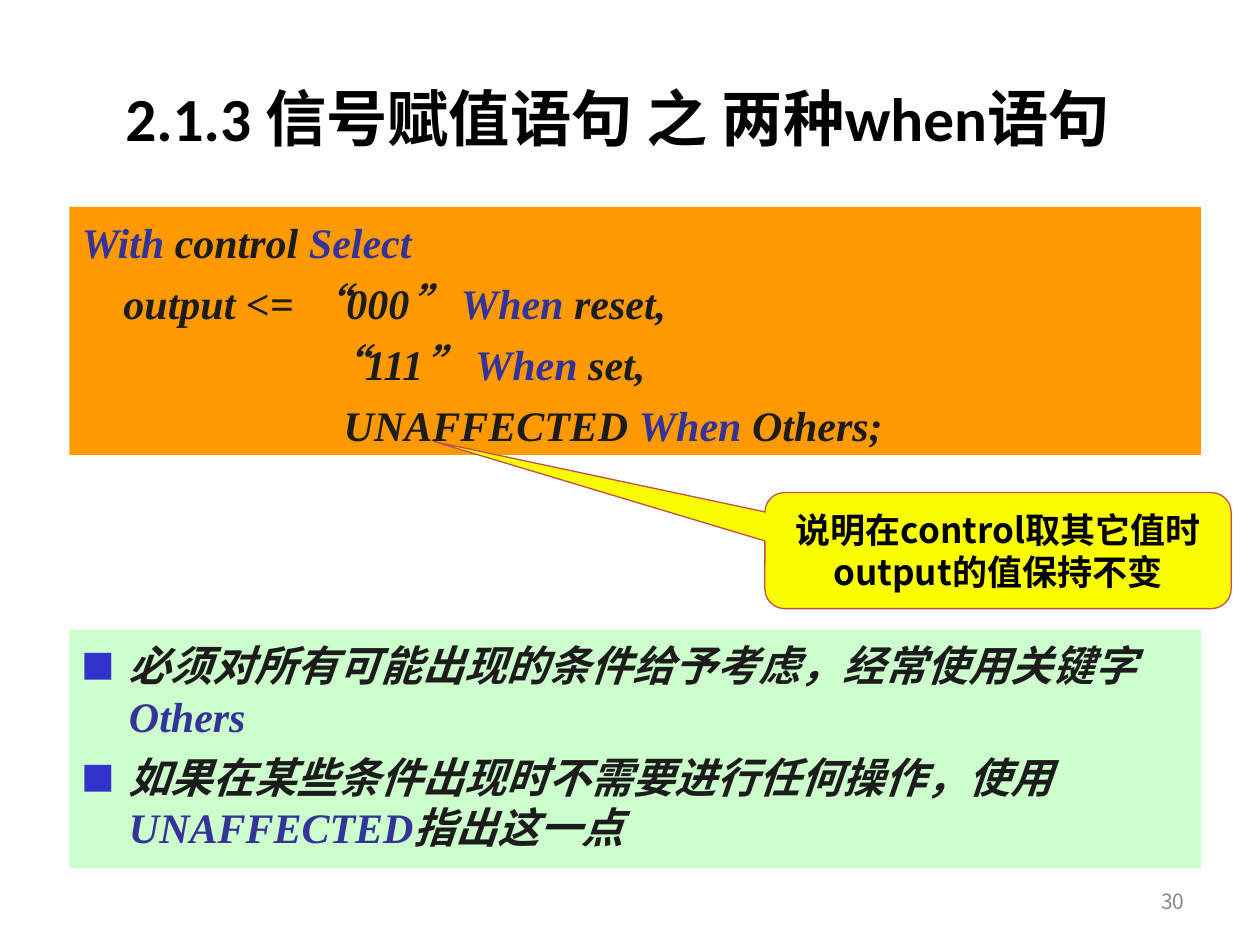
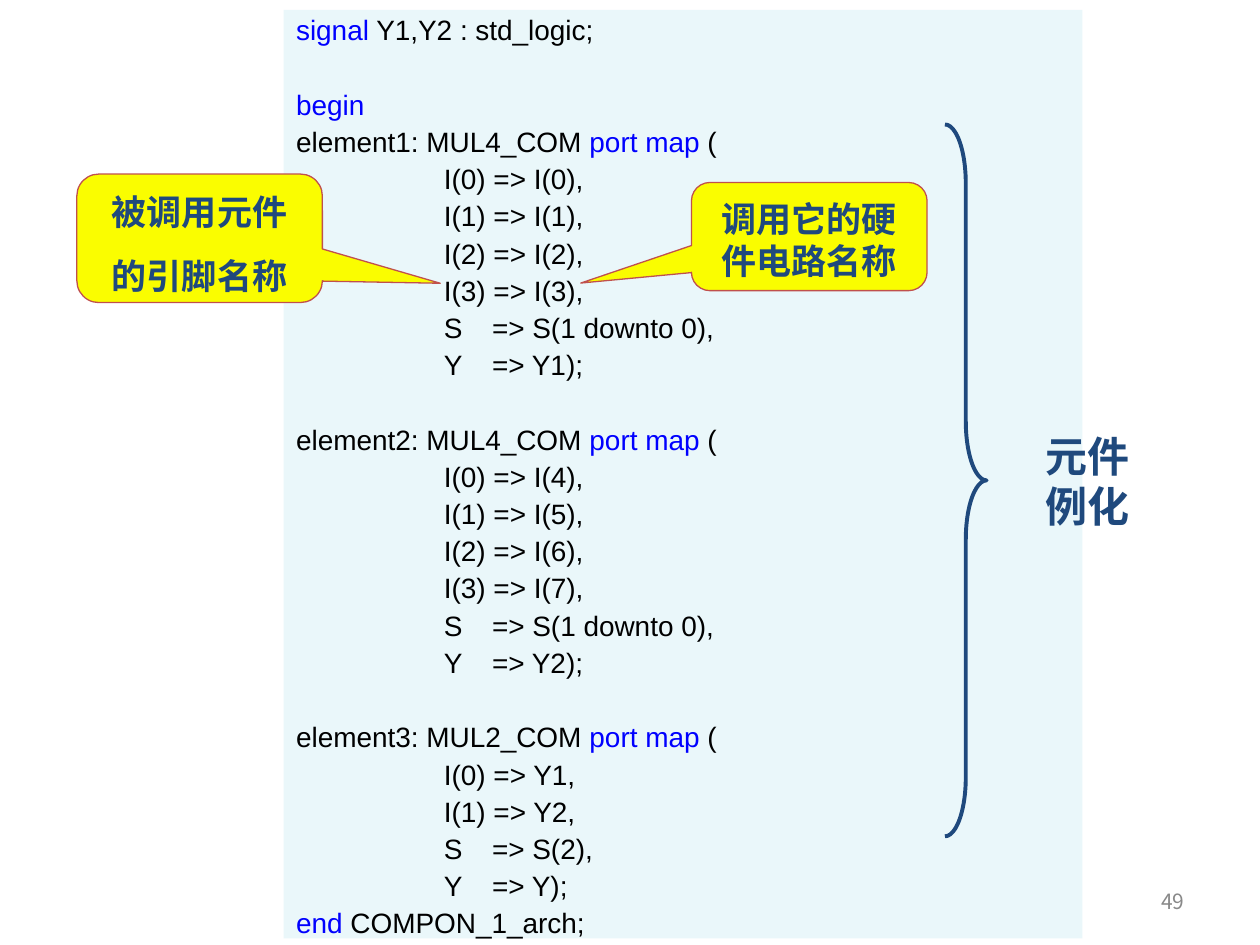
from lxml.etree import SubElement
from pptx import Presentation
from pptx.dml.color import RGBColor
from pptx.enum.shapes import MSO_SHAPE
from pptx.enum.text import MSO_ANCHOR, MSO_AUTO_SIZE, PP_ALIGN
from pptx.oxml.ns import qn
from pptx.util import Cm, Pt

COLOURS = {
    "black": "000000", "ink": "1C1C1C", "keyword": "333399", "bullet": "3333CC",
    "blue": "0000FF", "navy": "1F497D", "grey": "898989", "orange": "FF9900",
    "green": "CCFFCC", "pale": "EAF7FA", "yellow": "FAFD00", "red": "C0504D",
}
CJK = "Noto Sans CJK SC"
SERIF = "Times New Roman"


def write(shape, paras, size, font=CJK, bold=False, italic=False, align=PP_ALIGN.LEFT,
          before=0, pitch=None, tabs=(), bullet=False, anchor=MSO_ANCHOR.TOP, top=0.2):
    """Fill a shape with paragraphs of (text, colour[, font]) runs."""
    frame = shape.text_frame
    frame.word_wrap = True
    frame.auto_size = MSO_AUTO_SIZE.NONE
    frame.vertical_anchor = anchor
    frame.margin_left = frame.margin_right = Cm(0.25)
    frame.margin_top, frame.margin_bottom = Cm(top), Cm(0.13)
    for index, spans in enumerate(paras):
        para = frame.paragraphs[0] if index == 0 else frame.add_paragraph()
        para.alignment = align
        para.space_before = Pt(before)
        if pitch:
            para.line_spacing = Pt(pitch)
        props = para._p.get_or_add_pPr()
        if bullet:
            props.set("marL", str(Cm(0.95)))
            props.set("indent", str(-Cm(0.95)))
            colour = SubElement(props, qn("a:buClr"))
            SubElement(colour, qn("a:srgbClr"), val=COLOURS["bullet"])
            SubElement(props, qn("a:buSzPct"), val="80000")
            SubElement(props, qn("a:buFont"), typeface=CJK)
            SubElement(props, qn("a:buChar"), char="■")
        if tabs:
            stops = SubElement(props, qn("a:tabLst"))
            for stop in tabs:
                SubElement(stops, qn("a:tab"), pos=str(Cm(stop)), algn="l")
        for text, ink, *face in spans:
            span = para.add_run()
            span.text = text
            span.font.size = Pt(size)
            span.font.bold, span.font.italic = bold, italic
            span.font.color.rgb = RGBColor.from_string(COLOURS[ink])
            span.font.name = face[0] if face else font
            SubElement(span._r.get_or_add_rPr(), qn("a:ea"), typeface=CJK)


def add_box(page, kind, place, fill=None, line=None, width=0.75):
    """Add a preset shape without shadow; place is left, top, width, height in cm."""
    box = page.shapes.add_shape(kind, *(Cm(value) for value in place))
    box.shadow.inherit = False
    if fill:
        box.fill.solid()
        box.fill.fore_color.rgb = RGBColor.from_string(COLOURS[fill])
    else:
        box.fill.background()
    if line:
        box.line.color.rgb = RGBColor.from_string(COLOURS[line])
        box.line.width = Pt(width)
    else:
        box.line.fill.background()
    return box


deck = Presentation()
deck.slide_width, deck.slide_height = Cm(25.4), Cm(19.05)
when_page = deck.slides.add_slide(deck.slide_layouts[5])
map_page = deck.slides.add_slide(deck.slide_layouts[6])

# Slide 1: title, code panel and rules
title = when_page.shapes.title
title.left, title.top, title.width, title.height = Cm(0.69), Cm(0.76), Cm(23.52), Cm(3.18)
write(title, [[("2.1.3 信号赋值语句 之 两种when语句", "black")]], 35, "Calibri", bold=True,
      align=PP_ALIGN.CENTER, anchor=MSO_ANCHOR.MIDDLE, top=0.13)

select_code = [
    [("With", "keyword"), (" control ", "ink"), ("Select", "keyword")],
    [("\toutput <= ", "ink"), ("“", "ink", CJK), ("000", "ink"), ("” ", "ink", CJK),
     ("When", "keyword"), (" reset,", "ink")],
    [("\t\t", "ink"), ("“", "ink", CJK), ("111", "ink"), ("”", "ink", CJK),
     (" When", "keyword"), (" set,", "ink")],
    [("\t\t\tUNAFFECTED ", "ink"), ("When", "keyword"), (" Others;", "ink")],
]
panel = add_box(when_page, MSO_SHAPE.RECTANGLE, (1.4, 4.17, 22.81, 5), "orange")
write(panel, select_code, 24, SERIF, bold=True, italic=True, before=6, pitch=28.8,
      tabs=(0.84, 4.86, 5.28))

rules = [
    [("必须对所有可能出现的条件给予考虑，经常使用关键字", "ink"), ("Others", "keyword")],
    [("如果在某些条件出现时不需要进行任何操作，使用", "ink"), ("UNAFFECTED", "keyword"),
     ("指出这一点", "ink")],
]
panel = add_box(when_page, MSO_SHAPE.RECTANGLE, (1.4, 12.7, 22.81, 4.8), "green")
write(panel, rules, 24, SERIF, bold=True, italic=True, before=6, pitch=28.8, bullet=True)

# Slide 2: port map code
map_code = [
    [("signal", "blue"), (" Y1,Y2 : std_logic;", "black")],
    [("begin", "blue")],
]
elements = [
    ("element1: MUL4_COM ", ["I(0)", "I(1)", "I(2)", "I(3)"], "S(1 downto 0)", "Y1"),
    ("element2: MUL4_COM ", ["I(4)", "I(5)", "I(6)", "I(7)"], "S(1 downto 0)", "Y2"),
    ("element3: MUL2_COM ", ["Y1", "Y2"], "S(2)", "Y"),
]
for name, inputs, selector, output in elements:
    map_code.append([(name, "black"), ("port map", "blue"), (" (", "black")])
    for pin, wire in enumerate(inputs):
        map_code.append([(f"\tI({pin}) => {wire},", "black")])
    map_code.append([(f"\tS\t=> {selector},", "black")])
    map_code.append([(f"\tY\t=> {output});", "black")])
map_code.append([("end ", "blue"), ("COMPON_1_arch;", "black")])

panel = add_box(map_page, MSO_SHAPE.RECTANGLE, (5.72, 0.2, 16.1, 18.72), "pale")
write(panel, map_code, 16, "Arial", before=4, pitch=17.25, tabs=(2.98, 3.95), top=0.13)
for para in panel.text_frame.paragraphs:
    if para.text.startswith(("begin", "element2", "element3")):
        para.space_before = Pt(25.25)

brace = add_box(map_page, MSO_SHAPE.RIGHT_BRACE, (19.05, 2.51, 0.84, 14.35),
                line="navy", width=2.25)
brace.adjustments[0], brace.adjustments[1] = 1.42, 0.5
label = map_page.shapes.add_textbox(Cm(20.52), Cm(8.48), Cm(2.79), Cm(2.29))
write(label, [[("元件例化", "navy")]], 24, SERIF, bold=True, align=PP_ALIGN.CENTER,
      pitch=28.8)

# Callouts: page, place, pointer, text colour, lines
callouts = [
    (when_page, (15.42, 9.93, 9.4, 2.34), (-1.21, -0.94), "black",
     ["说明在control取其它值时output的值保持不变"]),
    (map_page, (1.55, 3.51, 4.95, 2.59), (0.98, 0.35), "navy", ["被调用元件", "的引脚名称"]),
    (map_page, (13.94, 3.68, 4.75, 2.18), (-0.97, 0.43), "navy", ["调用它的硬件电路名称"]),
]
for page, place, pointer, ink, lines in callouts:
    callout = add_box(page, MSO_SHAPE.ROUNDED_RECTANGULAR_CALLOUT, place, "yellow", "red")
    for index, value in enumerate((*pointer, 0.17)):
        callout.adjustments[index] = value
    write(callout, [[(line, ink)] for line in lines], 20, bold=True,
          align=PP_ALIGN.CENTER, before=12.5, pitch=24)

# Page numbers
for page, number in ((when_page, "30"), (map_page, "49")):
    footer = page.shapes.add_textbox(Cm(18.21), Cm(17.65), Cm(5.92), Cm(1.02))
    write(footer, [[(number, "grey")]], 12, align=PP_ALIGN.RIGHT,
          anchor=MSO_ANCHOR.MIDDLE, top=0.13)

deck.save("out.pptx")
